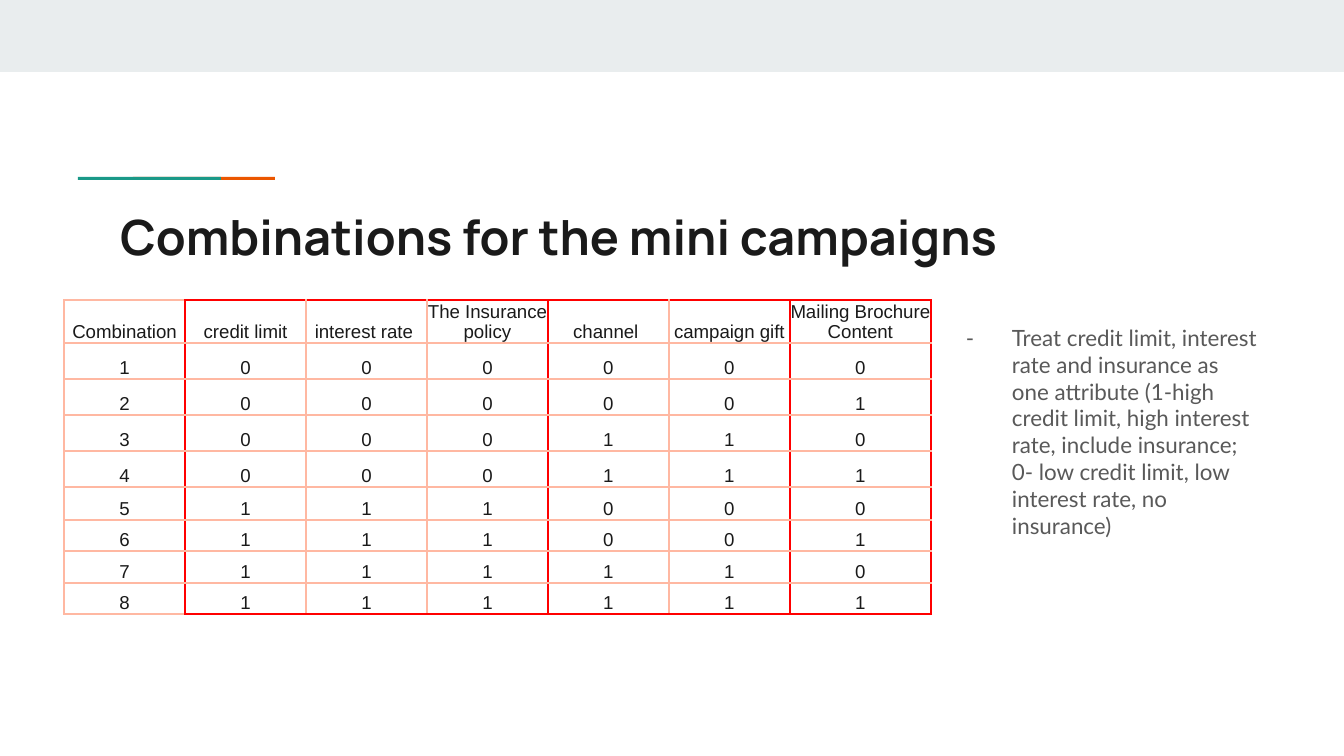
from dataclasses import dataclass

from lxml.etree import SubElement
from pptx import Presentation
from pptx.dml.color import RGBColor
from pptx.enum.shapes import MSO_SHAPE as Shape
from pptx.enum.text import MSO_ANCHOR as Anchor, PP_ALIGN as Align
from pptx.oxml.ns import qn
from pptx.util import Pt

EMU_PER_PX = 914400 / 134.4


@dataclass(frozen=True)
class Theme:
    band: str = "E9EDEE"
    teal: str = "1A9988"
    orange: str = "EB5600"
    ink: str = "1A1A1A"
    grey: str = "595959"
    grid: str = "FFB8A2"
    group: str = "FF0000"
    title_font: str = "Manrope"
    body_font: str = "Lato"
    table_font: str = "Arial"
    title_pt: int = 26
    body_pt: int = 12
    table_pt: int = 10
    border_pt: int = 1


def px(n):
    return round(n * EMU_PER_PX)


class SlideBuilder:
    def __init__(self, prs, theme):
        self.theme = theme
        self.s = prs.slides.add_slide(prs.slide_layouts[5])

    def run(self, p, text, font, size, color, bold=False):
        r = p.add_run()
        r.text = text
        r.font.name, r.font.size, r.font.bold = font, Pt(size), bold
        r.font.color.rgb = RGBColor.from_string(color)

    def frame(self, tf, top=13):
        tf.word_wrap = True
        tf.vertical_anchor = Anchor.TOP
        tf.margin_left = tf.margin_right = tf.margin_bottom = px(13)
        tf.margin_top = px(top)
        return tf.paragraphs[0]

    def bar(self, x, y, w, h, color):
        sp = self.s.shapes.add_shape(Shape.RECTANGLE, px(x), px(y), px(w), px(h))
        sp.shadow.inherit = False
        sp.fill.solid()
        sp.fill.fore_color.rgb = RGBColor.from_string(color)
        sp.line.fill.background()

    def title(self, x, y, w, h, text):
        t, sp = self.theme, self.s.shapes.title
        sp.left, sp.top, sp.width, sp.height = map(px, (x, y, w, h))
        p = self.frame(sp.text_frame)
        p.alignment = Align.LEFT
        self.run(p, text, t.title_font, t.title_pt, t.ink, bold=True)

    def dash_item(self, x, y, w, h, text, top):
        t = self.theme
        sp = self.s.shapes.add_textbox(px(x), px(y), px(w), px(h))
        p = self.frame(sp.text_frame, top)
        pPr = p._p.get_or_add_pPr()
        pPr.set("marL", str(px(67)))
        pPr.set("indent", str(px(-46)))
        color = SubElement(pPr, qn("a:buClr"))
        SubElement(color, qn("a:srgbClr"), val=t.grey)
        SubElement(pPr, qn("a:buFont"), typeface=t.body_font)
        SubElement(pPr, qn("a:buChar"), char="-")
        self.run(p, text, t.body_font, t.body_pt, t.grey)

    def borders(self, cell, reds):
        """Draw all four sides, with those named in reds in the group colour."""
        t, tcPr = self.theme, cell._tc.get_or_add_tcPr()
        for side in "LRTB":
            ln = SubElement(tcPr, qn(f"a:ln{side}"), w=str(Pt(t.border_pt)))
            fill = SubElement(ln, qn("a:solidFill"))
            SubElement(fill, qn("a:srgbClr"), val=t.group if side in reds else t.grid)

    def table(self, x, y, widths, heights, rows, group_starts):
        """Outline in red each column group that begins at a given index."""
        t, last_row, last_col = self.theme, len(rows) - 1, len(widths) - 1
        tbl = self.s.shapes.add_table(len(rows), len(widths), px(x), px(y),
                                      px(sum(widths)), px(sum(heights))).table
        tbl.first_row = tbl.horz_banding = False
        for col, w in zip(tbl.columns, widths):
            col.width = px(w)
        for row, h in zip(tbl.rows, heights):
            row.height = px(h)
        for i, row in enumerate(rows):
            for j, text in enumerate(row):
                cell = tbl.cell(i, j)
                sides = {"L": j in group_starts,
                         "R": j + 1 in group_starts or j == last_col,
                         "T": i == 0 and j > 0,
                         "B": i == last_row and j > 0}
                self.borders(cell, [side for side, red in sides.items() if red])
                cell.fill.background()
                cell.vertical_anchor = Anchor.BOTTOM
                cell.margin_left = cell.margin_right = cell.margin_bottom = 0
                cell.margin_top = px(1)
                p = cell.text_frame.paragraphs[0]
                p.alignment = Align.CENTER
                self.run(p, text, t.table_font, t.table_pt, t.ink)


HEADER = ["Combination", "credit limit", "interest rate ", "The Insurance policy",
          "channel ", "campaign gift", "Mailing Brochure Content"]


def combinations():
    """Number every mix of offer (3 columns), channel (2 columns) and brochure."""
    for n in range(8):
        offer, channel, brochure = n // 4, n // 2 % 2, n % 2
        yield [str(v) for v in (n + 1, *[offer] * 3, *[channel] * 2, brochure)]


def main():
    prs = Presentation()
    prs.slide_width, prs.slide_height = px(1344), px(756)
    theme = Theme()
    b = SlideBuilder(prs, theme)
    b.bar(0, 0, 1344, 72, theme.band)
    b.bar(133, 177, 142, 3, theme.orange)
    b.bar(78, 177, 143, 3, theme.teal)
    b.title(107, 194, 1130, 79, "Combinations for the mini campaigns")
    b.table(64, 300, [121] * 6 + [141], [43] + [36] * 4 + [33, 31, 32, 31],
            [HEADER, *combinations()], group_starts=(1, 4, 6))
    b.dash_item(932, 273, 341, 417,
                "Treat credit limit, interest rate and insurance as one attribute "
                "(1-high credit limit, high interest rate, include insurance; "
                "0- low credit limit, low interest rate, no insurance)", top=51)
    prs.save("out.pptx")


if __name__ == "__main__":
    main()
